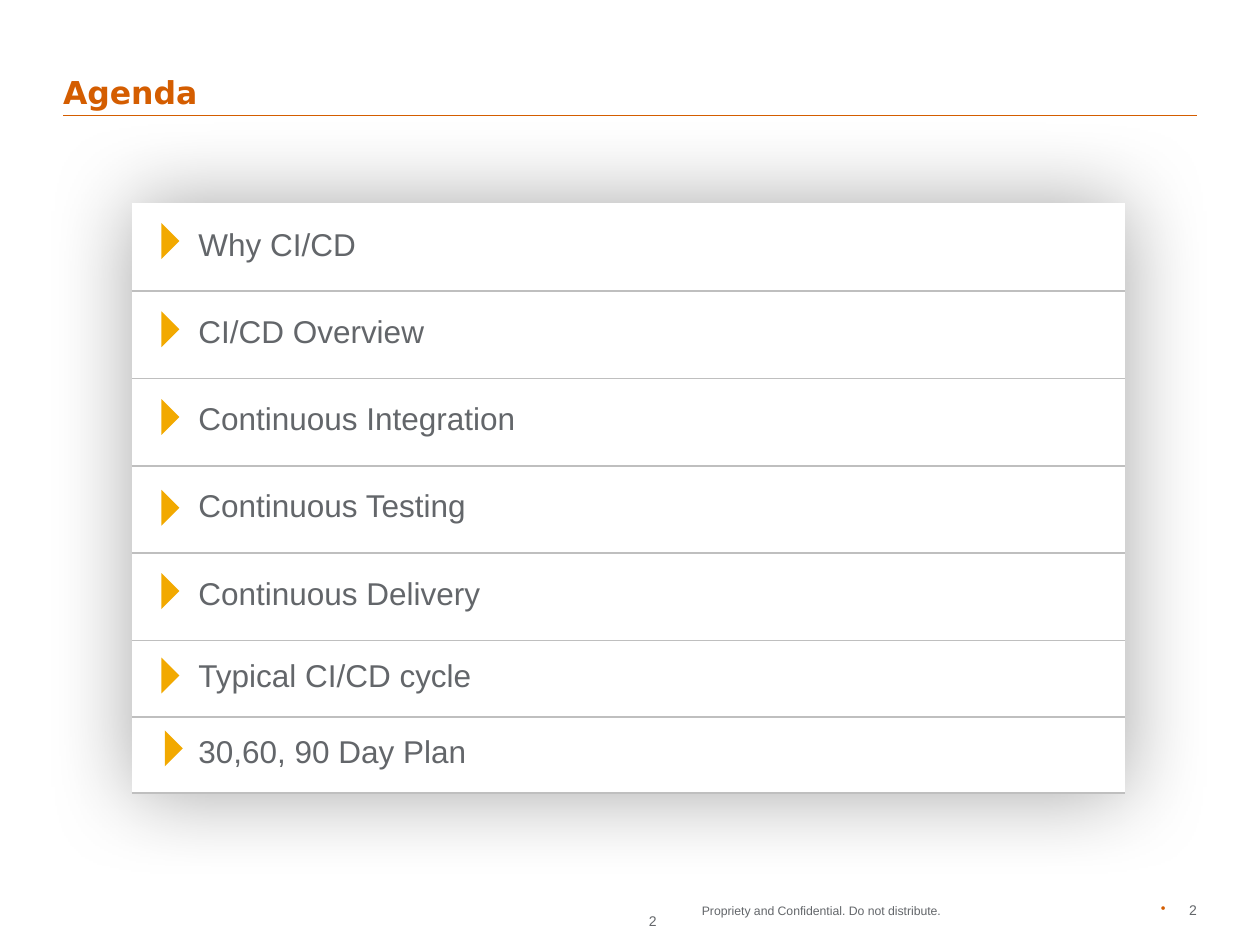
from lxml.etree import SubElement
from pptx import Presentation
from pptx.dml.color import RGBColor
from pptx.enum.shapes import MSO_CONNECTOR, MSO_SHAPE
from pptx.enum.text import MSO_ANCHOR, MSO_AUTO_SIZE, PP_ALIGN
from pptx.oxml import parse_xml
from pptx.oxml.ns import nsdecls, qn
from pptx.util import Cm, Pt

ORANGE = RGBColor(0xD4, 0x5D, 0x00)
AMBER = RGBColor(0xF2, 0xA9, 0x00)
GREY = RGBColor(0x63, 0x66, 0x6A)
RULE_GREY = RGBColor(0xBF, 0xBF, 0xBF)
WHITE = RGBColor(0xFF, 0xFF, 0xFF)
BODY_FONT = "Arial"
TITLE_FONT = "DejaVu Sans"

TALL_ROW, SHORT_ROW = 1.76, 1.54
AGENDA = [
    ("Why CI/CD", TALL_ROW, 3.0, 4.6),
    ("CI/CD Overview", TALL_ROW, 3.0, 6.38),
    ("Continuous Integration", TALL_ROW, 3.0, 8.15),
    ("Continuous Testing", TALL_ROW, 3.0, 9.98),
    ("Continuous Delivery", TALL_ROW, 3.0, 11.66),
    ("Typical CI/CD cycle", SHORT_ROW, 3.0, 13.36),
    ("30,60, 90 Day Plan", SHORT_ROW, 3.07, 14.83),
]


class SlideBuilder:
    """Draws styled elements on the current slide."""

    def __init__(self, slide):
        self.slide = slide

    def add_text(self, paragraph, text, size, color=GREY, font=BODY_FONT, bold=False):
        run = paragraph.add_run()
        run.text = text
        run.font.size = Pt(size)
        run.font.name = font
        run.font.bold = bold
        run.font.color.rgb = color

    def clear_margins(self, frame):
        frame.margin_left = frame.margin_right = 0
        frame.margin_top = frame.margin_bottom = 0
        frame.auto_size = MSO_AUTO_SIZE.NONE

    def title(self, text, left, top, width, height):
        heading = self.slide.shapes.title
        heading.left, heading.top = Cm(left), Cm(top)
        heading.width, heading.height = Cm(width), Cm(height)
        frame = heading.text_frame
        self.clear_margins(frame)
        frame.vertical_anchor = MSO_ANCHOR.BOTTOM
        paragraph = frame.paragraphs[0]
        paragraph.alignment = PP_ALIGN.LEFT
        paragraph.line_spacing = 0.95
        self.add_text(paragraph, text, 18, ORANGE, TITLE_FONT, True)

    def rule(self, left, right, y):
        line = self.slide.shapes.add_connector(
            MSO_CONNECTOR.STRAIGHT, Cm(left), Cm(y), Cm(right), Cm(y))
        line.line.color.rgb = ORANGE
        line.line.width = Pt(1)
        SubElement(line._element.spPr, qn("a:effectLst"))

    def label(self, text, left, top, width, height, size,
              align=PP_ALIGN.LEFT, wrap=True):
        box = self.slide.shapes.add_textbox(Cm(left), Cm(top), Cm(width), Cm(height))
        frame = box.text_frame
        self.clear_margins(frame)
        frame.word_wrap = wrap
        paragraph = frame.paragraphs[0]
        paragraph.alignment = align
        self.add_text(paragraph, text, size)
        return paragraph

    def bullet(self, paragraph, indent):
        paragraph.line_spacing = 0.95
        properties = paragraph._p.get_or_add_pPr()
        properties.set("marL", str(Cm(indent)))
        properties.set("indent", str(-Cm(indent)))
        color = SubElement(properties, qn("a:buClr"))
        SubElement(color, qn("a:srgbClr"), val=str(ORANGE))
        SubElement(properties, qn("a:buChar"), char="•")

    def border(self, cell, side, color):
        cell._tc.get_or_add_tcPr().insert(0, parse_xml(
            f'<a:{side} {nsdecls("a")} w="{Pt(1)}"><a:solidFill>'
            f'<a:srgbClr val="{color}"/></a:solidFill></a:{side}>'))

    def agenda_table(self, items, left, top, width):
        total = sum(height for _, height, _, _ in items)
        table = self.slide.shapes.add_table(
            len(items), 1, Cm(left), Cm(top), Cm(width), Cm(total)).table
        table.first_row = table.horz_banding = False
        self.glow(table)
        for index, (text, height, _, _) in enumerate(items):
            table.rows[index].height = Cm(height)
            cell = table.cell(index, 0)
            cell.fill.solid()
            cell.fill.fore_color.rgb = WHITE
            self.border(cell, "lnB", RULE_GREY)
            self.border(cell, "lnT", RULE_GREY if index else WHITE)
            cell.vertical_anchor = MSO_ANCHOR.MIDDLE
            cell.margin_left = cell.margin_right = Cm(0.36)
            cell.margin_top = cell.margin_bottom = Cm(0.15)
            paragraph = cell.text_frame.paragraphs[0]
            paragraph.line_spacing = 0.8
            properties = paragraph._p.get_or_add_pPr()
            properties.set("marL", str(Cm(0.97)))
            properties.set("indent", "0")
            self.add_text(paragraph, text, 18)

    def glow(self, table):
        table._tbl.tblPr.insert(0, parse_xml(
            f'<a:effectLst {nsdecls("a")}><a:outerShdw blurRad="{Pt(50)}" dist="0" '
            'algn="ctr" rotWithShape="0"><a:srgbClr val="000000">'
            '<a:alpha val="35000"/></a:srgbClr></a:outerShdw></a:effectLst>'))

    def marker(self, left, top, size=0.51):
        triangle = self.slide.shapes.add_shape(
            MSO_SHAPE.RIGHT_TRIANGLE, Cm(left), Cm(top), Cm(size), Cm(size))
        triangle.rotation = 225
        triangle.shadow.inherit = False
        triangle.fill.solid()
        triangle.fill.fore_color.rgb = AMBER
        triangle.line.fill.background()


def main():
    presentation = Presentation()
    presentation.slide_width, presentation.slide_height = Cm(25.4), Cm(19.05)
    builder = SlideBuilder(presentation.slides.add_slide(presentation.slide_layouts[5]))
    builder.rule(1.27, 24.13, 2.33)
    builder.label("Propriety and Confidential. Do not distribute.",
                  14.15, 18.21, 5.28, 0.64, 7, wrap=False)
    builder.label("2", 11.79, 18.39, 1.45, 0.71, 8, PP_ALIGN.RIGHT)
    builder.title("Agenda", 1.27, 0.56, 22.86, 1.7)
    builder.agenda_table(AGENDA, 2.67, 4.11, 19.99)
    page_number = builder.label("2", 23.29, 18.19, 0.84, 0.43, 8, PP_ALIGN.RIGHT)
    builder.bullet(page_number, 0.57)
    for _, _, left, top in AGENDA:
        builder.marker(left, top)
    presentation.save("out.pptx")


if __name__ == "__main__":
    main()
